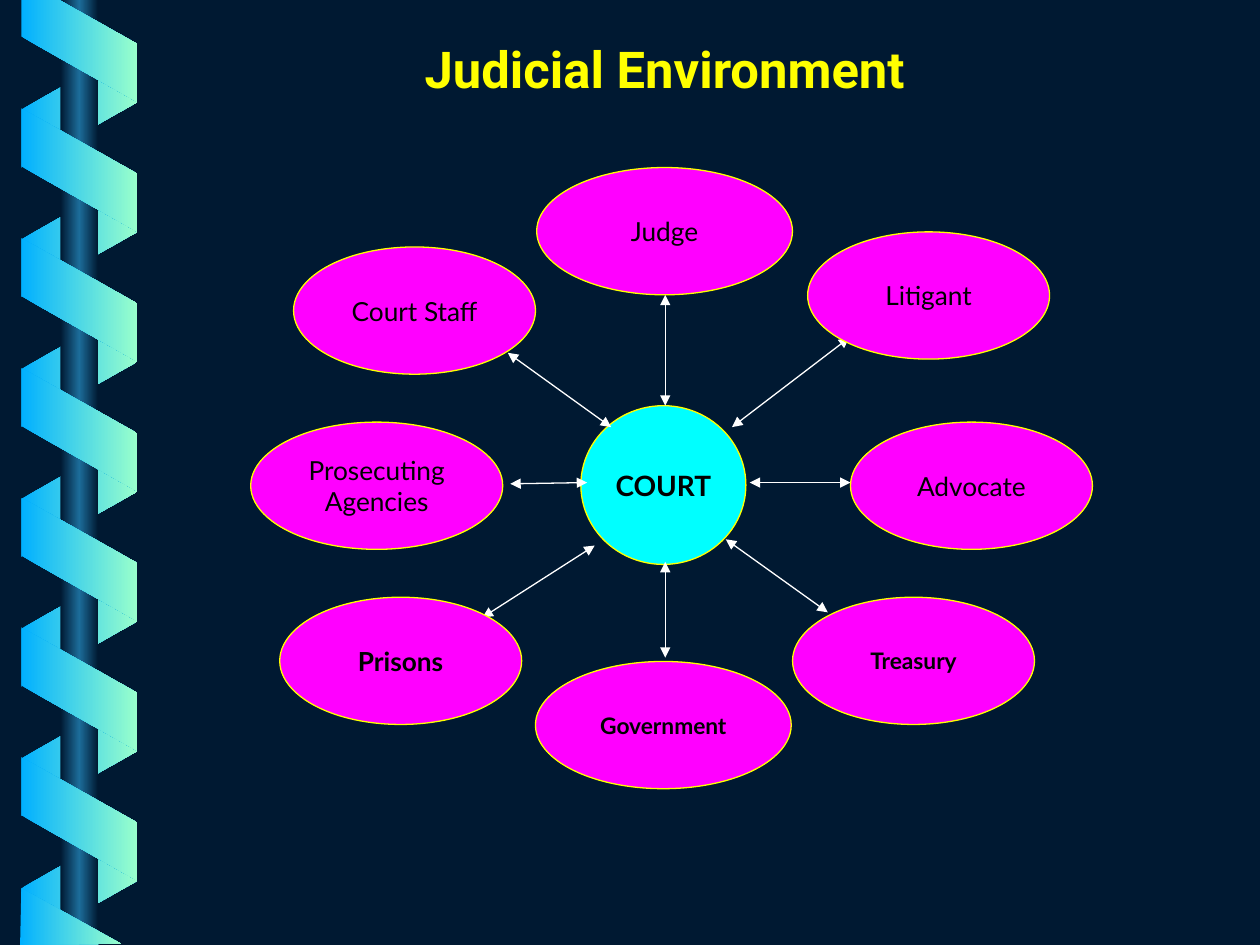
import pptx
import pptx.util
import pptx.dml.color
import pptx.enum.shapes
import pptx.enum.text
import pptx.oxml
import pptx.oxml.ns
import lxml.etree

Inches, Pt = pptx.util.Inches, pptx.util.Pt
COLORS = {"navy": "001932", "pole": "1C6D9A", "blue": "01B0FF", "mint": "99FFCC",
          "yellow": "FFFF00", "magenta": "FF00FF", "cyan": "00FFFF",
          "white": "FFFFFF", "black": "000000"}

TITLE = "Judicial Environment"
# text, (left, top, width, height), fill, size, bold
COURT = ("COURT", (4.61, 3.22, 1.31, 1.26), "cyan", 16, True)
AGENCIES = ("Prosecuting Agencies", (1.99, 3.35, 2, 1.01), "magenta", 15, False)
PARTIES = [
    ("Court Staff", (2.33, 1.96, 1.92, 1.01), "magenta", 15, False),
    ("Judge", (4.26, 1.33, 2.03, 1.01), "magenta", 15, False),
    ("Litigant", (6.41, 1.84, 1.92, 1.01), "magenta", 15, False),
    ("Advocate", (6.75, 3.35, 1.92, 1.01), "magenta", 15, False),
    ("Treasury", (6.29, 4.74, 1.92, 1.01), "magenta", 13, True),
    ("Government", (4.25, 5.25, 2.03, 1.01), "magenta", 13, True),
    ("Prisons", (2.22, 4.74, 1.92, 1.01), "magenta", 15, True),
]
ARROWS = [
    (4.66, 3.83, 4.05, 3.84), (4.85, 3.39, 4.03, 2.8),
    (5.28, 3.22, 5.28, 2.34), (5.81, 3.39, 6.74, 2.68),
    (5.95, 3.83, 6.75, 3.83), (3.83, 4.9, 4.72, 4.33),
    (5.28, 5.22, 5.28, 4.46), (6.57, 4.86, 5.76, 4.28),
]

# Ribbon wound round the pole
LEFT, RIGHT, PITCH, DROP, EDGE = 0.17, 1.09, 1.03, 0.52, 0.46
BACK_TOP, FRONT_TOP = 0.35, 0.86
TOP_END = [(0.17, 0), (0.17, 0.29), (1.09, 0.81), (1.09, 0.35), (0.47, 0)]
BOTTOM_END = [(0.96, 7.49), (0.17, 7.05), (0.16, 7.5)]


def rgb(name):
    return pptx.dml.color.RGBColor.from_string(COLORS[name])


def gradient(sp, names):
    """Fill from left to right with evenly spaced colours and no outline."""
    sp.shadow.inherit = False
    sp.line.fill.background()
    sp.fill.gradient()
    sp.fill.gradient_angle = 0
    stops = sp._element.spPr.find(".//" + pptx.oxml.ns.qn("a:gsLst"))
    for gs in list(stops):
        stops.remove(gs)
    for i, name in enumerate(names):
        gs = lxml.etree.SubElement(stops, pptx.oxml.ns.qn("a:gs"),
                                   pos=str(100000 * i // (len(names) - 1)))
        lxml.etree.SubElement(gs, pptx.oxml.ns.qn("a:srgbClr"), val=COLORS[name])


def add_band(shapes, points):
    points = [(Inches(x), Inches(y)) for x, y in points]
    builder = shapes.build_freeform(*points[0], scale=1.0)
    builder.add_line_segments(points[1:], close=True)
    gradient(builder.convert_to_shape(), ["blue", "mint"])


def slanted(left_top, right_top):
    return [(LEFT, left_top), (RIGHT, right_top),
            (RIGHT, right_top + EDGE), (LEFT, left_top + EDGE)]


def add_ribbon(shapes):
    for i in range(7):
        top = BACK_TOP + i * PITCH
        add_band(shapes, slanted(top + DROP, top))
    pole = shapes.add_shape(pptx.enum.shapes.MSO_SHAPE.RECTANGLE,
                            Inches(0.48), 0, Inches(0.3), Inches(7.5))
    gradient(pole, ["navy", "pole", "navy"])
    for i in range(6):
        top = FRONT_TOP + i * PITCH
        add_band(shapes, slanted(top, top + DROP))
    for points in (TOP_END, BOTTOM_END):
        add_band(shapes, points)


def write(sp, text, align, anchor, wrap, color, **font):
    tf = sp.text_frame
    tf.word_wrap = wrap
    tf.vertical_anchor = anchor
    p = tf.paragraphs[0]
    p.alignment = align
    r = p.add_run()
    r.text = text
    r.font.color.rgb = rgb(color)
    for key, value in font.items():
        setattr(r.font, key, value)


def add_ellipse(shapes, text, box, fill, size, bold):
    sp = shapes.add_shape(pptx.enum.shapes.MSO_SHAPE.OVAL, *map(Inches, box))
    sp.shadow.inherit = False
    sp.fill.solid()
    sp.fill.fore_color.rgb = rgb(fill)
    sp.line.color.rgb = rgb("yellow")
    sp.line.width = Pt(0.75)
    write(sp, text, pptx.enum.text.PP_ALIGN.CENTER, pptx.enum.text.MSO_ANCHOR.MIDDLE,
          " " in text, "black", name="Lato", size=Pt(size), bold=bold)


def add_arrow(shapes, ends):
    line = shapes.add_connector(pptx.enum.shapes.MSO_CONNECTOR.STRAIGHT,
                                *map(Inches, ends))
    line.line.color.rgb = rgb("white")
    line.line.width = Pt(0.75)
    ln = line.line._get_or_add_ln()
    for tag in ("a:headEnd", "a:tailEnd"):
        lxml.etree.SubElement(ln, pptx.oxml.ns.qn(tag), type="triangle")
    lxml.etree.SubElement(line._element.spPr, pptx.oxml.ns.qn("a:effectLst"))


def main():
    prs = pptx.Presentation()
    prs.slide_width, prs.slide_height = Inches(10), Inches(7.5)
    s = prs.slides.add_slide(prs.slide_layouts[5])
    s.background.fill.solid()
    s.background.fill.fore_color.rgb = rgb("navy")

    title = s.shapes.title
    title.left, title.top, title.width, title.height = map(
        Inches, (3.27, 0.25, 4.39, 0.59))
    write(title, TITLE, pptx.enum.text.PP_ALIGN.LEFT, pptx.enum.text.MSO_ANCHOR.TOP,
          True, "yellow", name="Roboto", size=Pt(29), bold=True)

    add_ribbon(s.shapes)
    for node in (COURT, AGENCIES):
        add_ellipse(s.shapes, *node)
    for ends in ARROWS:
        add_arrow(s.shapes, ends)
    for node in PARTIES:
        add_ellipse(s.shapes, *node)
    prs.save("out.pptx")


if __name__ == "__main__":
    main()
